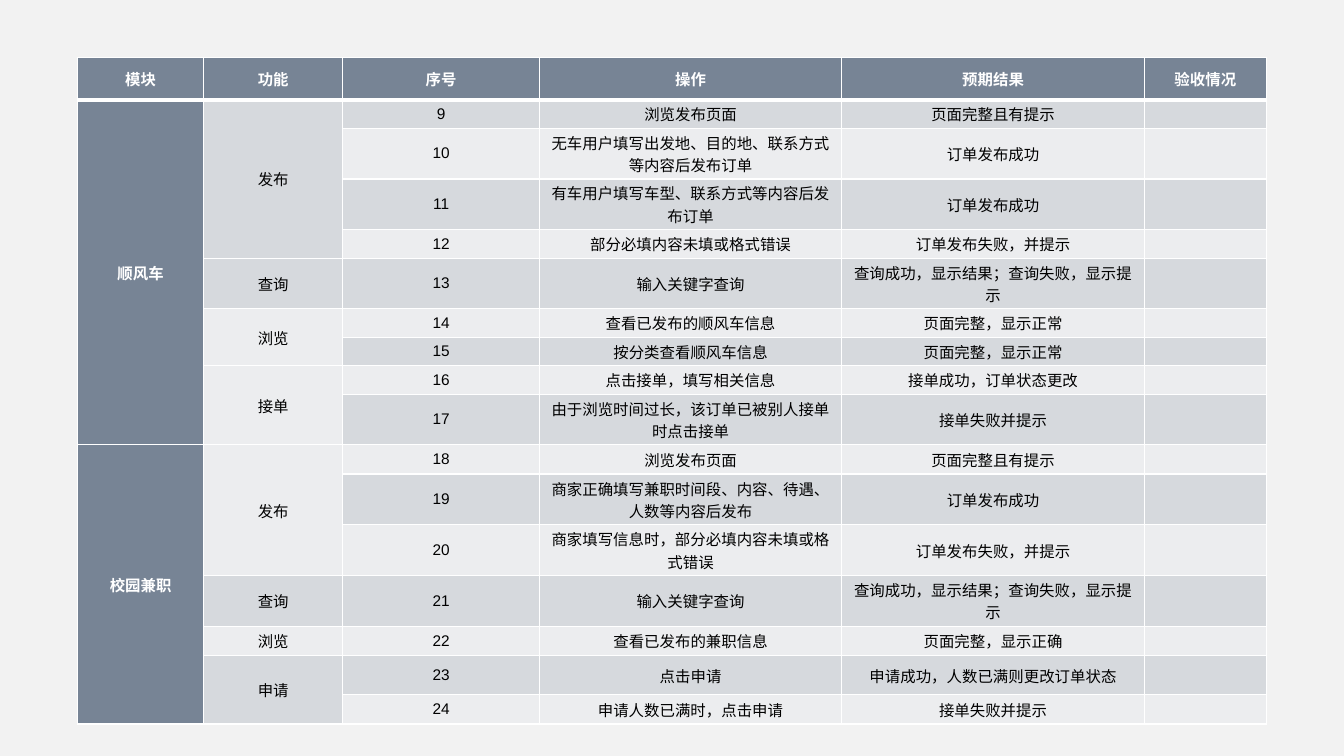
from lxml import etree
from pptx import Presentation
from pptx.dml.color import RGBColor
from pptx.enum.text import MSO_ANCHOR, PP_ALIGN
from pptx.oxml.ns import qn
from pptx.util import Inches, Pt

MIDDLE = MSO_ANCHOR.MIDDLE
CENTER = PP_ALIGN.CENTER

BACKGROUND = RGBColor(0xF2, 0xF2, 0xF2)
SLATE = RGBColor(0x77, 0x84, 0x95)
DARK_BAND = RGBColor(0xD6, 0xD9, 0xDD)
LIGHT_BAND = RGBColor(0xEC, 0xED, 0xEF)
WHITE = RGBColor(0xFF, 0xFF, 0xFF)
BLACK = RGBColor(0x00, 0x00, 0x00)

# Test cases: module -> function -> (operation, expected result)
HEADINGS = ["模块", "功能", "序号", "操作", "预期结果", "验收情况"]
FIRST_NUMBER = 9
SEARCH_CASE = ("输入关键字查询", "查询成功，显示结果；查询失败，显示提示")
MODULES = {
    "顺风车": {
        "发布": [
            ("浏览发布页面", "页面完整且有提示"),
            ("无车用户填写出发地、目的地、联系方式等内容后发布订单", "订单发布成功"),
            ("有车用户填写车型、联系方式等内容后发布订单", "订单发布成功"),
            ("部分必填内容未填或格式错误", "订单发布失败，并提示"),
        ],
        "查询": [SEARCH_CASE],
        "浏览": [
            ("查看已发布的顺风车信息", "页面完整，显示正常"),
            ("按分类查看顺风车信息", "页面完整，显示正常"),
        ],
        "接单": [
            ("点击接单，填写相关信息", "接单成功，订单状态更改"),
            ("由于浏览时间过长，该订单已被别人接单时点击接单", "接单失败并提示"),
        ],
    },
    "校园兼职": {
        "发布": [
            ("浏览发布页面", "页面完整且有提示"),
            ("商家正确填写兼职时间段、内容、待遇、人数等内容后发布", "订单发布成功"),
            ("商家填写信息时，部分必填内容未填或格式错误", "订单发布失败，并提示"),
        ],
        "查询": [SEARCH_CASE],
        "浏览": [("查看已发布的兼职信息", "页面完整，显示正确")],
        "申请": [
            ("点击申请", "申请成功，人数已满则更改订单状态"),
            ("申请人数已满时，点击申请", "接单失败并提示"),
        ],
    },
}

# Table place and sizes, in grid units
TABLE_LEFT, TABLE_TOP = 77, 57
COLUMN_UNITS = [125, 138, 195, 300, 300, 121]
ROW_UNITS = [42, 28, 49, 45, 28, 45, 28, 28, 28, 49, 29, 49, 45, 45, 29, 39, 29]


class TestPlanSlide:
    """Holds the text style and the slide; lengths are grid units."""

    GRID_COLUMNS, GRID_ROWS = 1333, 750
    FONT, FONT_SIZE = "Arial", Pt(11)
    THIN, THICK = Pt(1), Pt(3)

    def __init__(self):
        self.deck = Presentation()
        self.deck.slide_width = Inches(13.33)
        self.deck.slide_height = Inches(7.5)
        self.slide = self.deck.slides.add_slide(self.deck.slide_layouts[6])
        background = self.slide.background.fill
        background.solid()
        background.fore_color.rgb = BACKGROUND

    def across(self, units):
        return round(self.deck.slide_width * units / self.GRID_COLUMNS)

    def down(self, units):
        return round(self.deck.slide_height * units / self.GRID_ROWS)

    def table(self, left, top, column_units, row_units):
        frame = self.slide.shapes.add_table(
            len(row_units), len(column_units), self.across(left), self.down(top),
            self.across(sum(column_units)), self.down(sum(row_units)))
        grid = frame.table
        grid.horz_banding = False
        for column, units in zip(grid.columns, column_units):
            column.width = self.across(units)
        for row, units in zip(grid.rows, row_units):
            row.height = self.down(units)
        return grid

    def cell(self, cell, wording, fill, color=BLACK, bold=False,
             top=THIN, bottom=THIN):
        cell.fill.solid()
        cell.fill.fore_color.rgb = fill
        cell.vertical_anchor = MIDDLE
        cell.margin_left = cell.margin_right = Inches(0.06)
        cell.margin_top = cell.margin_bottom = Inches(0.03)
        cell.text_frame.text = wording
        paragraph = cell.text_frame.paragraphs[0]
        paragraph.alignment = CENTER
        for run in paragraph.runs:
            run.font.name = self.FONT
            run.font.size = self.FONT_SIZE
            run.font.bold = bold
            run.font.color.rgb = color
        if not wording:
            # Keeps an empty cell from stretching its row
            end = etree.SubElement(paragraph._p, qn("a:endParaRPr"))
            end.set("sz", str(round(self.FONT_SIZE.pt * 100)))
        self.borders(cell, top, bottom)

    def borders(self, cell, top, bottom):
        properties = cell._tc.get_or_add_tcPr()
        widths = {"a:lnL": self.THIN, "a:lnR": self.THIN,
                  "a:lnT": top, "a:lnB": bottom}
        for place, (side, width) in enumerate(widths.items()):
            line = etree.Element(qn(side), w=str(int(width)))
            paint = etree.SubElement(line, qn("a:solidFill"))
            etree.SubElement(paint, qn("a:srgbClr"), val=str(WHITE))
            properties.insert(place, line)

    def save(self):
        self.deck.save("out.pptx")


def main():
    plan = TestPlanSlide()
    cases = plan.table(TABLE_LEFT, TABLE_TOP, COLUMN_UNITS, ROW_UNITS)

    # Heading row
    for column, heading in enumerate(HEADINGS):
        plan.cell(cases.cell(0, column), heading, SLATE, WHITE, True,
                  bottom=plan.THICK)

    # Case rows; module and function names stand in their first row
    row = 1
    merges = []
    for module, functions in MODULES.items():
        module_row = row
        for function, steps in functions.items():
            function_row = row
            for operation, result in steps:
                band = DARK_BAND if row % 2 else LIGHT_BAND
                top = plan.THICK if row == 1 else plan.THIN
                plan.cell(cases.cell(row, 0), module if row == module_row else "",
                          SLATE, WHITE, True, top=top)
                wordings = [function if row == function_row else "",
                            str(FIRST_NUMBER + row - 1), operation, result, ""]
                for column, wording in enumerate(wordings, start=1):
                    plan.cell(cases.cell(row, column), wording, band, top=top)
                row += 1
            merges.append((1, function_row, row - 1))
        merges.append((0, module_row, row - 1))

    # Row spans
    for column, first, last in merges:
        if last > first:
            cases.cell(first, column).merge(cases.cell(last, column))

    plan.save()


if __name__ == "__main__":
    main()
